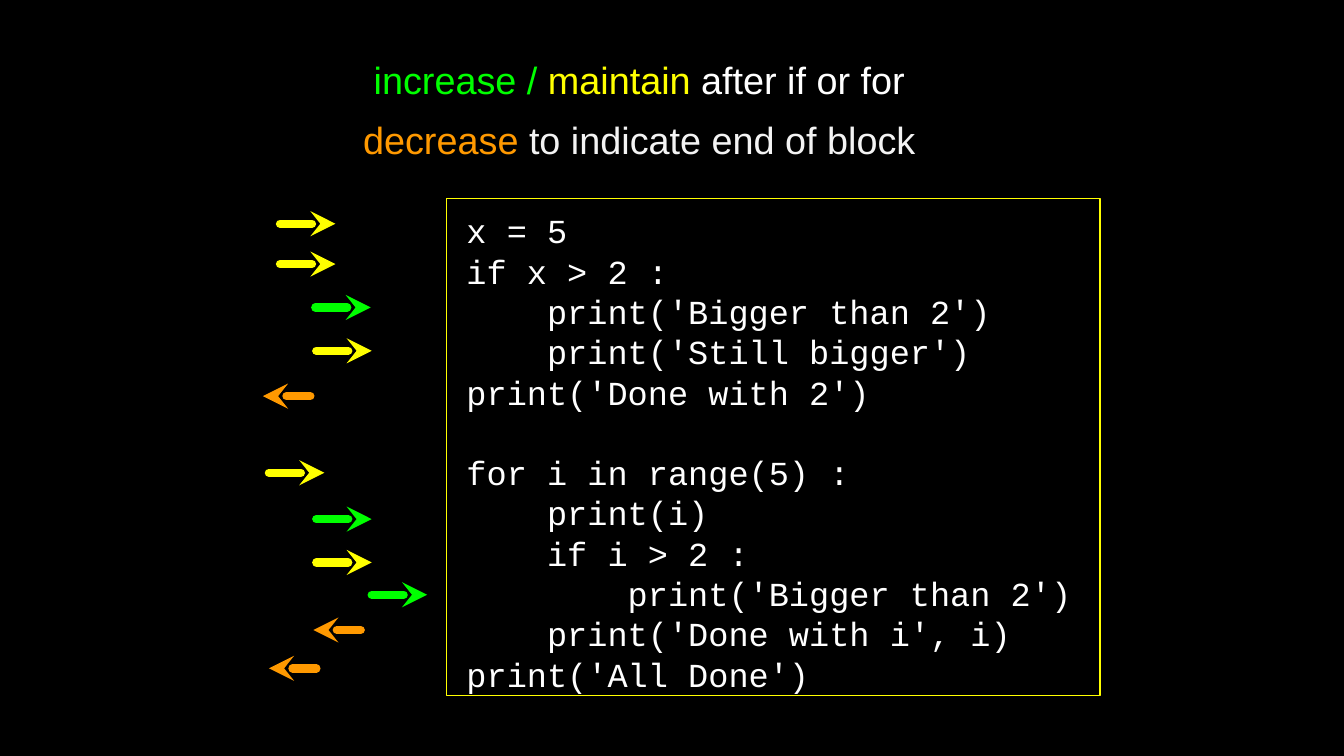
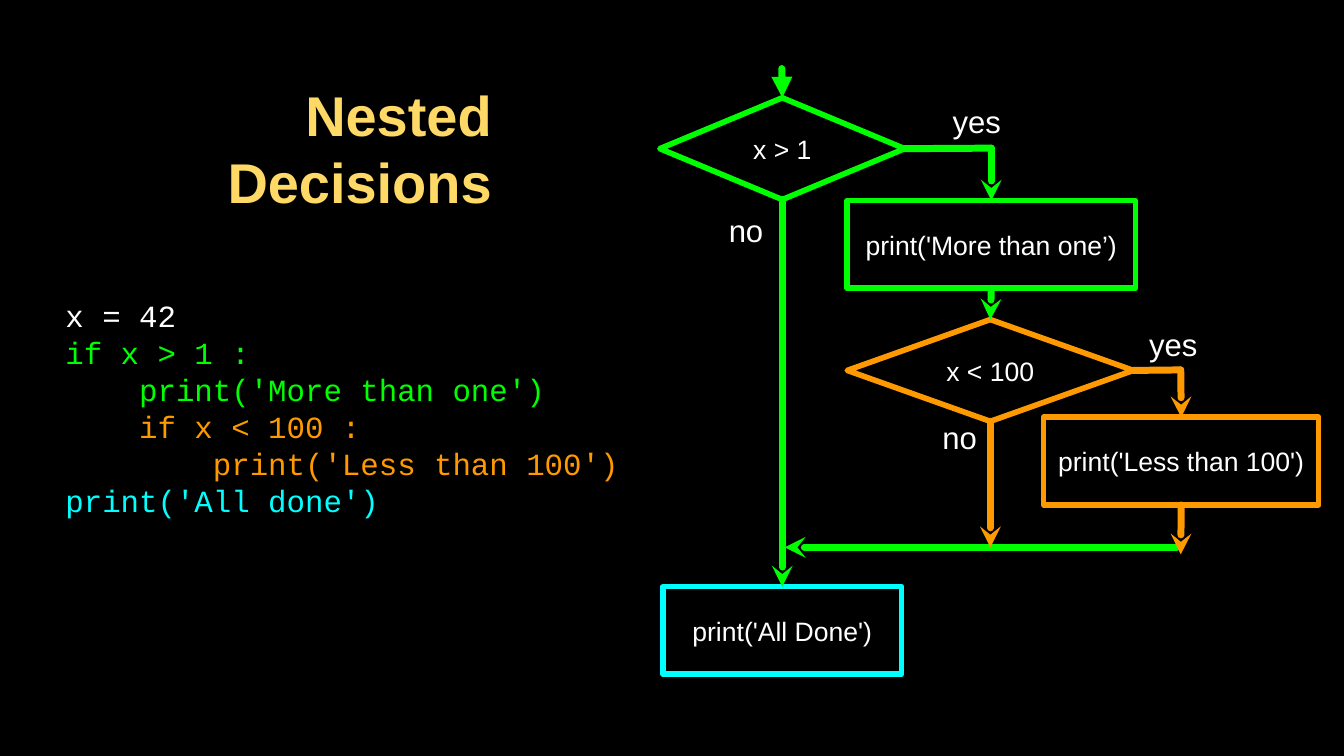
import dataclasses

import lxml.etree
import pptx
import pptx.dml.color
import pptx.enum.shapes
import pptx.enum.text
import pptx.oxml.ns
import pptx.util

Inches = pptx.util.Inches
Pt = pptx.util.Pt
Shape = pptx.enum.shapes.MSO_SHAPE
Align = pptx.enum.text.PP_ALIGN
Anchor = pptx.enum.text.MSO_ANCHOR
qualified = pptx.oxml.ns.qn
TOP, LEFT, BOTTOM, RIGHT = range(4)


@dataclasses.dataclass(frozen=True)
class Theme:
    black: str = "000000"
    white: str = "FFFFFF"
    soft_white: str = "F3F3F3"
    green: str = "00FF00"
    yellow: str = "FFFF00"
    orange: str = "FF9900"
    cyan: str = "00FFFF"
    gold: str = "FFD966"
    sans: str = "Arial"
    mono: str = "Courier New"
    title_size: float = 40
    heading_size: float = 27
    code_size: float = 24
    small_code_size: float = 22
    label_size: float = 22.2
    node_size: float = 19
    leading: float = 1.2


theme = Theme()
rgb = pptx.dml.color.RGBColor.from_string


def write(box, lines, face, size, align=Align.LEFT, anchor=Anchor.MIDDLE,
          margins=(0, 0, 0, 0), bold=False, gaps=None):
    frame = box.text_frame
    frame.word_wrap = True
    frame.vertical_anchor = anchor
    (frame.margin_left, frame.margin_top,
     frame.margin_right, frame.margin_bottom) = [Inches(margin) for margin in margins]
    for index, pieces in enumerate(lines):
        para = frame.paragraphs[0] if index == 0 else frame.add_paragraph()
        para.alignment = align
        if len(lines) > 1 or size == theme.title_size:
            para.line_spacing = Pt(size * theme.leading)
        if gaps and index in gaps:
            para.space_before = Pt(gaps[index])
        for text, colour in pieces:
            span = para.add_run()
            span.text = text
            span.font.name = face
            span.font.size = Pt(size)
            span.font.bold = bold
            span.font.color.rgb = rgb(colour)


def add_line(page, start, end, colour, width, head=None):
    line = page.shapes.add_connector(
        pptx.enum.shapes.MSO_CONNECTOR.STRAIGHT, 0, 0, 0, 0)
    if hasattr(start[0], "shape_id"):
        line.begin_connect(*start)
    else:
        line.begin_x, line.begin_y = [Inches(length) for length in start]
    if hasattr(end[0], "shape_id"):
        line.end_connect(*end)
    else:
        line.end_x, line.end_y = [Inches(length) for length in end]
    line.line.color.rgb = rgb(colour)
    line.line.width = Pt(width)
    properties = line._element.spPr
    outline = properties.find(qualified("a:ln"))
    outline.set("cap", "rnd")
    if head:
        lxml.etree.SubElement(outline, qualified("a:tailEnd"), type=head)
    lxml.etree.SubElement(properties, qualified("a:effectLst"))


deck = pptx.Presentation()
deck.slide_width = Inches(13.34)
deck.slide_height = Inches(7.5)
background = deck.slide_master.background.fill
background.solid()
background.fore_color.rgb = rgb(theme.black)
blank = deck.slide_layouts[6]

page = deck.slides.add_slide(blank)
code_box = page.shapes.add_shape(
    Shape.RECTANGLE, Inches(4.43), Inches(1.97), Inches(6.49), Inches(4.93))
code_box.shadow.inherit = False
code_box.fill.background()
code_box.line.color.rgb = rgb(theme.yellow)
code_box.line.width = Pt(1)
code = [
    "x = 5",
    "if x > 2 :",
    "    print('Bigger than 2')",
    "    print('Still bigger')",
    "print('Done with 2')",
    "for i in range(5) :",
    "    print(i)",
    "    if i > 2 :",
    "        print('Bigger than 2')",
    "    print('Done with i', i)",
    "print('All Done')",
]
write(code_box, [[(text, theme.white)] for text in code], theme.mono, theme.code_size,
      margins=(0.2, 0.1, 0, 0), gaps={5: theme.code_size * theme.leading})

heading = page.shapes.add_textbox(Inches(3.4), Inches(0.56), Inches(5.89), Inches(1.25))
write(heading, [
    [("increase / ", theme.green), ("maintain ", theme.yellow),
     ("after if or for", theme.white)],
    [("decrease ", theme.orange), ("to indicate end of block", theme.soft_white)],
], theme.sans, theme.heading_size, Align.CENTER, Anchor.TOP, gaps={1: 10.8})

indent_arrows = [
    (2.78, 2.22, theme.yellow),
    (2.78, 2.62, theme.yellow),
    (3.13, 3.05, theme.green),
    (3.14, 3.48, theme.yellow),
    (3.08, 3.93, theme.orange),
    (2.67, 4.69, theme.yellow),
    (3.14, 5.15, theme.green),
    (3.14, 5.58, theme.yellow),
    (3.69, 5.9, theme.green),
    (3.58, 6.25, theme.orange),
    (3.14, 6.63, theme.orange),
]
for left, top, colour in indent_arrows:
    reach = -0.47 if colour == theme.orange else 0.55
    add_line(page, (left, top), (left + reach, top), colour, 6, "stealth")

page = deck.slides.add_slide(blank)
code_box = page.shapes.add_textbox(Inches(0.65), Inches(2.63), Inches(5.7), Inches(2.73))
write(code_box, [
    [("x = 42", theme.white)],
    [("if x > 1 :", theme.green)],
    [("    print('More than one')", theme.green)],
    [("    if x < 100 :", theme.orange)],
    [("        print('Less than 100')", theme.orange)],
    [("print('All done')", theme.cyan)],
], theme.mono, theme.small_code_size, margins=(0, 0.1, 0, 0))

title = page.shapes.add_textbox(Inches(0.96), Inches(0.57), Inches(3.95), Inches(1.78))
write(title, [[("Nested Decisions", theme.gold)]], theme.sans, theme.title_size,
      Align.RIGHT, margins=(0.03, 0.03, 0.03, 0.03), bold=True)

nodes = []
for kind, left, top, width, height, colour, text in [
    (Shape.DIAMOND, 6.55, 0.97, 2.43, 1.01, theme.green, "x > 1"),
    (Shape.RECTANGLE, 8.41, 1.99, 2.86, 0.87, theme.green, "print('More than one’)"),
    (Shape.DIAMOND, 8.41, 3.17, 2.84, 1.01, theme.orange, "x < 100"),
    (Shape.RECTANGLE, 10.36, 4.14, 2.73, 0.87, theme.orange, "print('Less than 100')"),
    (Shape.RECTANGLE, 6.58, 5.82, 2.37, 0.87, theme.cyan, "print('All Done')"),
]:
    node = page.shapes.add_shape(
        kind, Inches(left), Inches(top), Inches(width), Inches(height))
    node.shadow.inherit = False
    node.fill.background()
    node.line.color.rgb = rgb(colour)
    node.line.width = Pt(4)
    write(node, [[(text, theme.white)]], theme.sans, theme.node_size, Align.CENTER)
    nodes.append(node)
outer_test, more_box, inner_test, less_box, done_box = nodes

outer_corner = (9.84, 1.47)
inner_corner = (11.72, 3.67)
merge_top = 5.43
for start, end, colour, head in [
    ((7.76, 0.68), (outer_test, TOP), theme.green, "triangle"),
    ((outer_test, RIGHT), outer_corner, theme.green, None),
    (outer_corner, (more_box, TOP), theme.green, "stealth"),
    ((outer_test, BOTTOM), (done_box, TOP), theme.green, "stealth"),
    ((inner_test, RIGHT), inner_corner, theme.orange, None),
    (inner_corner, (less_box, TOP), theme.orange, "stealth"),
    ((more_box, BOTTOM), (inner_test, TOP), theme.green, "stealth"),
    ((11.68, merge_top), (7.79, merge_top), theme.green, "stealth"),
    ((inner_test, BOTTOM), (9.83, merge_top), theme.orange, "stealth"),
    ((less_box, BOTTOM), (11.72, 5.5), theme.orange, "stealth"),
]:
    add_line(page, start, end, colour, 5, head)

for text, left, top, width in [
    ("yes", 9.32, 1.01, 0.75),
    ("yes", 11.27, 3.22, 0.75),
    ("no", 9.34, 4.15, 0.37),
    ("no", 7.22, 2.09, 0.37),
]:
    label = page.shapes.add_textbox(Inches(left), Inches(top), Inches(width), Inches(0.38))
    write(label, [[(text, theme.white)]], theme.sans, theme.label_size, Align.CENTER)

deck.save("out.pptx")
